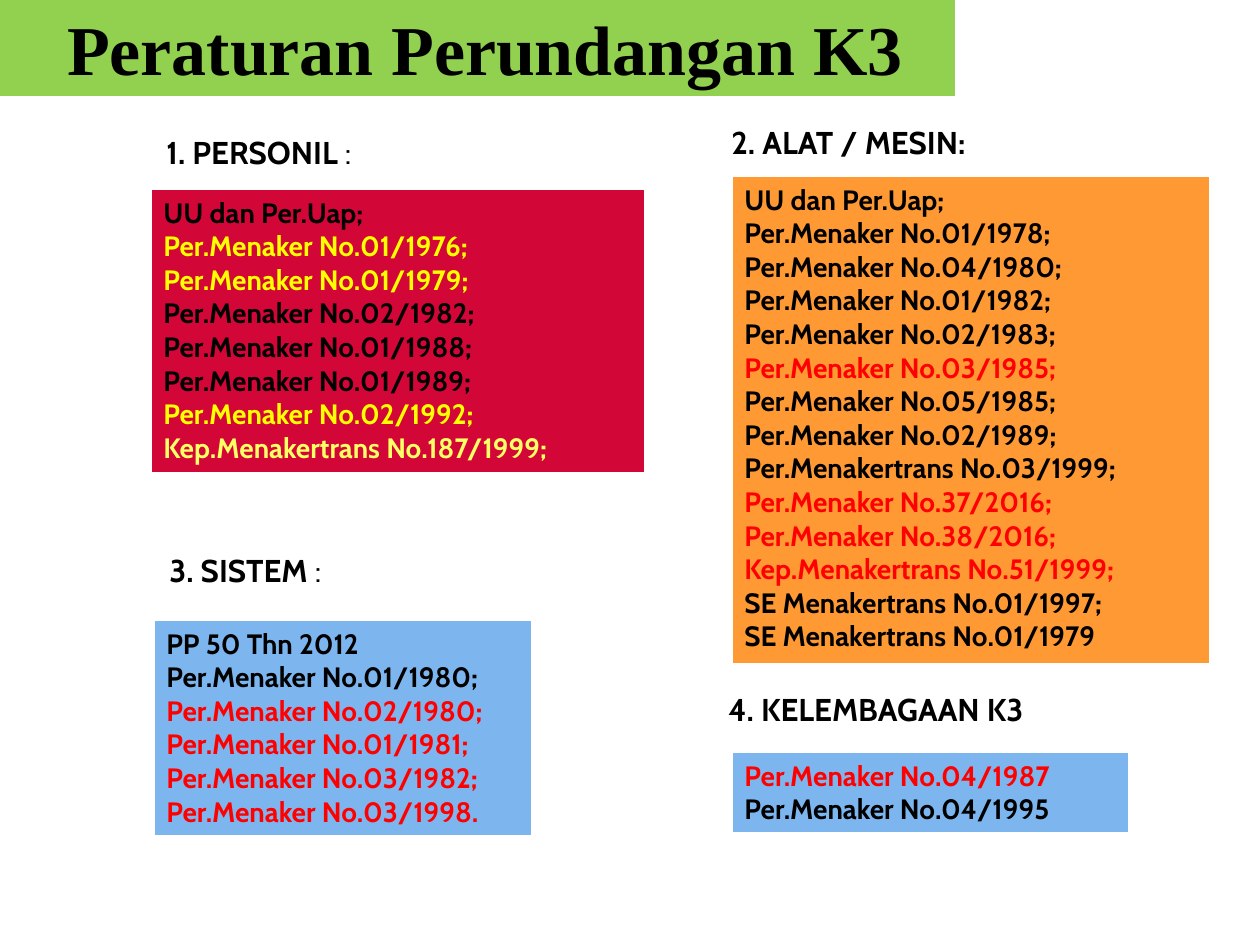
from pptx import Presentation
from pptx.dml.color import RGBColor
from pptx.enum.shapes import MSO_SHAPE
from pptx.enum.text import MSO_ANCHOR, PP_ALIGN
from pptx.util import Pt

PX = 914400 // 126
BLACK, RED, YELLOW, PALE_YELLOW = "000000", "FF0000", "FFFF00", "FFFF66"
WHITE, GREEN, CRIMSON, ORANGE, BLUE = "FFFFFF", "92D050", "D20637", "FF9933", "7DB6EF"

TITLE = "Peraturan Perundangan K3"
TITLE_PLACE = (0, -1, 955, 97)

SECTIONS = [
    {
        "heading": [("1. PERSONIL", True), (" :", False)],
        "heading_place": (154, 127, 284, 50),
        "panel_place": (151, 189, 494, 284),
        "fill": CRIMSON,
        "rules": [
            ("UU dan Per.Uap;", BLACK),
            ("Per.Menaker No.01/1976;", YELLOW),
            ("Per.Menaker No.01/1979;", YELLOW),
            ("Per.Menaker No.02/1982;", BLACK),
            ("Per.Menaker No.01/1988;", BLACK),
            ("Per.Menaker No.01/1989;", BLACK),
            ("Per.Menaker No.02/1992;", YELLOW),
            ("Kep.Menakertrans No.187/1999;", PALE_YELLOW),
        ],
    },
    {
        "heading": [("2. ALAT / MESIN:", True)],
        "heading_place": (719, 117, 368, 50),
        "panel_place": (732, 176, 478, 488),
        "fill": ORANGE,
        "rules": [
            ("UU dan Per.Uap;", BLACK),
            ("Per.Menaker No.01/1978;", BLACK),
            ("Per.Menaker No.04/1980;", BLACK),
            ("Per.Menaker No.01/1982;", BLACK),
            ("Per.Menaker No.02/1983;", BLACK),
            ("Per.Menaker No.03/1985;", RED),
            ("Per.Menaker No.05/1985;", BLACK),
            ("Per.Menaker No.02/1989;", BLACK),
            ("Per.Menakertrans No.03/1999;", BLACK),
            ("Per.Menaker No.37/2016;", RED),
            ("Per.Menaker No.38/2016;", RED),
            ("Kep.Menakertrans No.51/1999;", RED),
            ("SE Menakertrans No.01/1997;", BLACK),
            ("SE Menakertrans No.01/1979", BLACK),
        ],
    },
    {
        "heading": [("3. SISTEM", True), (" :", False)],
        "heading_place": (157, 545, 208, 50),
        "panel_place": (154, 620, 378, 216),
        "fill": BLUE,
        "rules": [
            ("PP 50 Thn 2012", BLACK),
            ("Per.Menaker No.01/1980;", BLACK),
            ("Per.Menaker No.02/1980;", RED),
            ("Per.Menaker No.01/1981;", RED),
            ("Per.Menaker No.03/1982;", RED),
            ("Per.Menaker No.03/1998.", RED),
        ],
    },
    {
        "heading": [("4. KELEMBAGAAN K3", True)],
        "heading_place": (716, 684, 384, 50),
        "panel_place": (732, 752, 397, 81),
        "fill": BLUE,
        "rules": [
            ("Per.Menaker No.04/1987", RED),
            ("Per.Menaker No.04/1995", BLACK),
        ],
    },
]


def color(value):
    return RGBColor.from_string(value)


def scaled(place):
    return [length * PX for length in place]


def add_run(paragraph, text, size, font="Cabin", ink=BLACK, bold=True):
    run = paragraph.add_run()
    run.text = text
    run.font.name = font
    run.font.size = Pt(size)
    run.font.bold = bold
    run.font.color.rgb = color(ink)


def add_panel(slide, place, fill, border=None):
    panel = slide.shapes.add_shape(MSO_SHAPE.RECTANGLE, *scaled(place))
    panel.shadow.inherit = False
    panel.fill.solid()
    panel.fill.fore_color.rgb = color(fill)
    if border:
        panel.line.color.rgb = color(border)
        panel.line.width = Pt(0.75)
    else:
        panel.line.fill.background()
    frame = panel.text_frame
    frame.word_wrap = True
    frame.vertical_anchor = MSO_ANCHOR.TOP
    return frame


def add_title(slide):
    frame = add_panel(slide, TITLE_PLACE, GREEN)
    frame.margin_left = 27 * PX
    paragraph = frame.paragraphs[0]
    paragraph.alignment = PP_ALIGN.CENTER
    add_run(paragraph, TITLE, 40, "Times New Roman")


def add_section(slide, section):
    heading = slide.shapes.add_textbox(*scaled(section["heading_place"])).text_frame
    heading.word_wrap = True
    for text, bold in section["heading"]:
        add_run(heading.paragraphs[0], text, 18, bold=bold)

    panel = add_panel(slide, section["panel_place"], section["fill"], WHITE)
    for index, (rule, ink) in enumerate(section["rules"]):
        paragraph = panel.add_paragraph() if index else panel.paragraphs[0]
        paragraph.alignment = PP_ALIGN.LEFT
        add_run(paragraph, rule, 16, ink=ink)


def main():
    deck = Presentation()
    deck.slide_width, deck.slide_height = scaled((1260, 945))
    slide = deck.slides.add_slide(deck.slide_layouts[6])
    add_title(slide)
    for section in SECTIONS:
        add_section(slide, section)
    deck.save("out.pptx")


if __name__ == "__main__":
    main()
